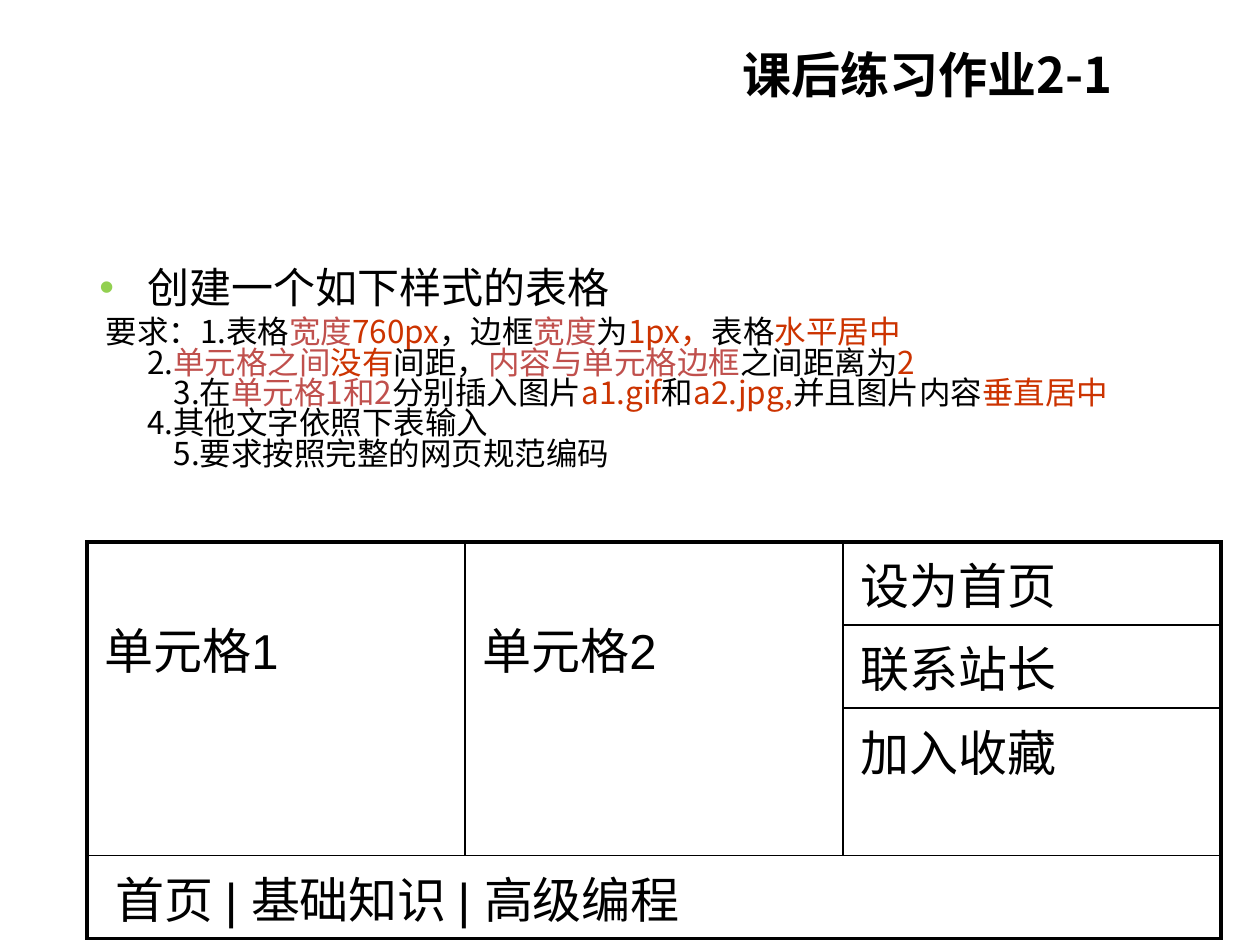
from dataclasses import dataclass

from lxml import etree
from pptx import Presentation
from pptx.dml.color import RGBColor
from pptx.enum.text import MSO_ANCHOR, PP_ALIGN
from pptx.oxml.ns import qn
from pptx.util import Inches, Pt

LEFT, CENTER = PP_ALIGN.LEFT, PP_ALIGN.CENTER
TOP, MIDDLE = MSO_ANCHOR.TOP, MSO_ANCHOR.MIDDLE


@dataclass(frozen=True)
class Theme:
    ink: str = "000000"
    rose: str = "C0504D"
    rust: str = "CC3300"
    lime: str = "92D050"
    sans: str = "Noto Sans CJK SC"
    latin: str = "Arial"
    title: int = 28
    lead: int = 24
    body: int = 18
    cell: int = 28
    thin: float = 1
    thick: float = 2.25


@dataclass(frozen=True)
class Line:
    """Runs are (text, colour) pairs; indent is in inches."""
    runs: tuple
    indent: float
    pitch: float = 0.8


@dataclass(frozen=True)
class Box:
    text: str
    row: int
    col: int
    rows: int = 1
    cols: int = 1
    drop: float = 0.05
    inset: float = 0.14


T = Theme()
WIDE, HIGH = 10, 7.5
EDGE, SPAN = 0.69, 9
COLS = (SPAN / 3,) * 3
ROWS = (0.66, 0.66, 1.17, 0.66)

TASKS = (
    Line((("要求：1.表格", T.ink), ("宽度", T.rose), ("760px", T.rust),
          ("，边框", T.ink), ("宽度", T.rose), ("为", T.ink),
          ("1px，", T.rust), ("表格", T.ink), ("水平居中", T.rust)), 0.05, 1),
    Line((("2.", T.ink), ("单元格之间", T.rose), ("没有", T.rust),
          ("间距，", T.ink), ("内容与单元格边框", T.rose),
          ("之间距离为", T.ink), ("2", T.rust)), 0.38),
    Line((("3.在", T.ink), ("单元格1和2", T.rose), ("分别插入图片", T.ink),
          ("a1.gif", T.rust), ("和", T.ink), ("a2.jpg,", T.rust),
          ("并且图片内容", T.ink), ("垂直居中", T.rust)), 0.59),
    Line((("4.其他文字依照下表输入", T.ink),), 0.38),
    Line((("5.要求按照完整的网页规范编码", T.ink),), 0.59),
)

CELLS = (
    Box("单元格1", 0, 0, rows=3, drop=0.56),
    Box("单元格2", 0, 1, rows=3, drop=0.56),
    Box("设为首页", 0, 2),
    Box("联系站长", 1, 2),
    Box("加入收藏", 2, 2),
    Box("首页 | 基础知识 | 高级编程", 3, 0, cols=3, inset=0.23),
)


def write(para, text: str, *, size: float, color: str = T.ink,
          font: str = T.sans, bold: bool = False, align=LEFT) -> None:
    run = para.add_run()
    run.text = text
    run.font.size, run.font.bold, run.font.name = Pt(size), bold, font
    run.font.color.rgb = RGBColor.from_string(color)
    east = etree.SubElement(run.font._element, qn("a:ea"))
    east.set("typeface", T.sans)
    para.alignment = align


def frame(slide, x: float, y: float, w: float, h: float, anchor=TOP):
    text = slide.shapes.add_textbox(*map(Inches, (x, y, w, h))).text_frame
    text.word_wrap = True
    text.vertical_anchor = anchor
    return text


def indent(para, left: float, hang: float = 0) -> None:
    prop = para._p.get_or_add_pPr()
    prop.set("marL", str(Inches(left)))
    prop.set("indent", str(-Inches(hang)))


def bullet(para, color: str) -> None:
    prop = para._p.get_or_add_pPr()
    tint = etree.SubElement(prop, qn("a:buClr"))
    etree.SubElement(tint, qn("a:srgbClr")).set("val", color)
    etree.SubElement(prop, qn("a:buFont")).set("typeface", T.latin)
    etree.SubElement(prop, qn("a:buChar")).set("char", "•")


def border(cell, box: Box) -> None:
    """Rule the table's outer edge thick and its inner edges thin."""
    outer = {
        "L": box.col == 0,
        "R": box.col + box.cols == len(COLS),
        "T": box.row == 0,
        "B": box.row + box.rows == len(ROWS),
    }
    prop = cell._tc.get_or_add_tcPr()
    for side, edge in outer.items():
        rule = etree.SubElement(prop, qn(f"a:ln{side}"))
        rule.set("w", str(Pt(T.thick if edge else T.thin)))
        fill = etree.SubElement(rule, qn("a:solidFill"))
        etree.SubElement(fill, qn("a:srgbClr")).set("val", T.ink)


def draw_tasks(slide) -> None:
    text = frame(slide, EDGE, 2.03, SPAN, 2.2)
    lead = text.paragraphs[0]
    write(lead, "创建一个如下样式的表格", size=T.lead)
    indent(lead, 0.38, 0.38)
    bullet(lead, T.lime)
    for line in TASKS:
        para = text.add_paragraph()
        indent(para, line.indent)
        para.line_spacing = line.pitch
        for words, color in line.runs:
            write(para, words, size=T.body, color=color)


def draw_table(slide) -> None:
    area = map(Inches, (EDGE, 4.3, SPAN, sum(ROWS)))
    table = slide.shapes.add_table(len(ROWS), len(COLS), *area).table
    table.first_row = table.horz_banding = False
    for col, width in zip(table.columns, COLS):
        col.width = Inches(width)
    for row, height in zip(table.rows, ROWS):
        row.height = Inches(height)
    for box in CELLS:
        cell = table.cell(box.row, box.col)
        if box.rows * box.cols > 1:
            cell.merge(table.cell(box.row + box.rows - 1,
                                  box.col + box.cols - 1))
        cell.margin_left, cell.margin_right = Inches(box.inset), Inches(0.14)
        cell.margin_top, cell.margin_bottom = Inches(box.drop), Inches(0.05)
        border(cell, box)
        write(cell.text_frame.paragraphs[0], box.text,
              size=T.cell, font=T.latin)
    for cell in table.iter_cells():
        cell.fill.background()


def main() -> None:
    deck = Presentation()
    deck.slide_width, deck.slide_height = Inches(WIDE), Inches(HIGH)
    slide = deck.slides.add_slide(deck.slide_layouts[6])
    title = frame(slide, 4.8, 0.31, 5.12, 0.55, MIDDLE)
    write(title.paragraphs[0], "课后练习作业2-1",
          size=T.title, bold=True, align=CENTER)
    draw_tasks(slide)
    draw_table(slide)
    deck.save("out.pptx")


if __name__ == "__main__":
    main()
